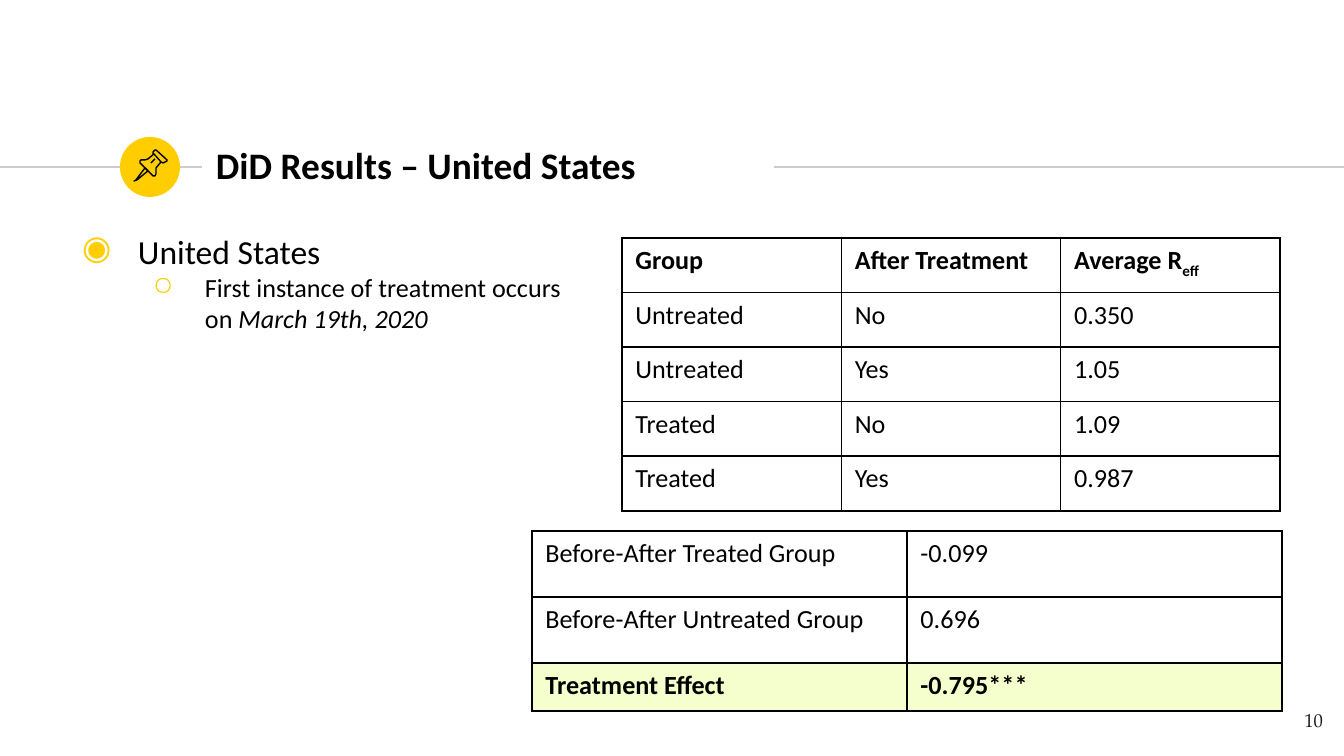
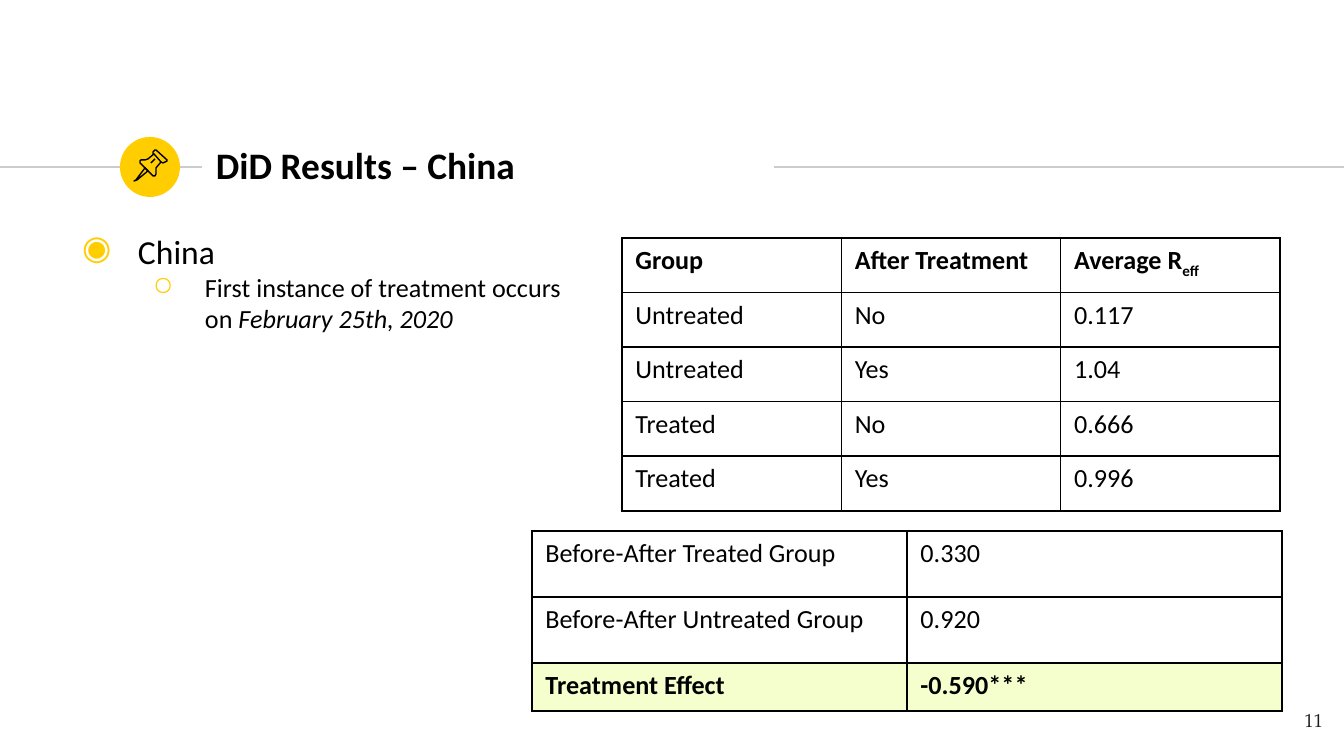
from lxml.etree import SubElement as Sub
from pptx import Presentation as Deck
from pptx.dml.color import RGBColor as RGB
from pptx.enum.shapes import MSO_CONNECTOR as Link, MSO_SHAPE as Form
from pptx.enum.text import MSO_ANCHOR as Anchor, PP_ALIGN as Align
from pptx.oxml.ns import qn
from pptx.util import Pt

SCALE = 914400 / 134.4
WIDE, HIGH = 1344, 756
BLACK = RGB(0x00, 0x00, 0x00)
INK = RGB(0x1D, 0x1D, 0x1B)
GOLD = RGB(0xFF, 0xCD, 0x00)
GREY = RGB(0xCC, 0xCC, 0xCC)
LIME = RGB(0xDE, 0xFF, 0x5C)
SANS, SERIF = "Calibri", "TeX Gyre Pagella"
RULE_Y = 167

TIP = [(145, 168), (136, 180), (134, 181), (137, 180), (148, 171)]
CAP = [(154, 154), (161, 162), (163, 163), (165, 162), (167, 161),
       (167, 160), (156, 150), (155, 150), (153, 152), (153, 154)]
BODY = [(154, 154), (148, 159), (145, 160), (141, 160), (140, 161),
        (140, 163), (153, 176), (155, 176), (156, 174), (156, 168),
        (161, 162)]

HEAD = ["Group", "After Treatment", "Average R"]
CASES = [("Untreated", "No"), ("Untreated", "Yes"),
         ("Treated", "No"), ("Treated", "Yes")]
EFFECTS = ["Before-After Treated Group", "Before-After Untreated Group",
           "Treatment Effect"]

PAGES = [
    ("United States", "March 19th, 2020", "10",
     ["0.350", "1.05", "1.09", "0.987"],
     ["-0.099", "0.696", "-0.795***"]),
    ("China", "February 25th, 2020", "11",
     ["0.117", "1.04", "0.666", "0.996"],
     ["0.330", "0.920", "-0.590***"]),
]


def px(*vals):
    return [round(val * SCALE) for val in vals]


def add_run(par, text, size=14, face=SANS, tint=BLACK, bold=False,
            slant=False, base=0):
    run = par.add_run()
    run.text = text
    font = run.font
    font.size, font.name = Pt(size), face
    font.bold, font.italic = bold, slant
    font.color.rgb = tint
    if base:
        run._r.get_or_add_rPr().set("baseline", str(base * 1000))


def add_box(slide, *area):
    frame = slide.shapes.add_textbox(*px(*area)).text_frame
    frame.word_wrap = True
    frame.margin_left = frame.margin_right = px(13)[0]
    frame.margin_top = frame.margin_bottom = px(13)[0]
    return frame


def add_line(shapes, start, end, tint):
    line = shapes.add_connector(Link.STRAIGHT, *px(*start, *end))
    line.line.color.rgb = tint
    line.line.width = Pt(0.75)
    Sub(line._element.spPr, qn("a:effectLst"))


def add_path(shapes, spots, close):
    pen = shapes.build_freeform(*spots[0], scale=SCALE)
    pen.add_line_segments(spots[1:], close=close)
    form = pen.convert_to_shape()
    form.shadow.inherit = False
    form.fill.background()
    form.line.color.rgb = BLACK
    form.line.width = Pt(0.75)


def add_pin(slide):
    pin = slide.shapes.add_group_shape().shapes
    add_path(pin, TIP, True)
    add_path(pin, CAP, True)
    add_path(pin, BODY, False)
    add_line(pin, (151, 163), (155, 159), BLACK)


def add_frame(slide, title, page):
    add_line(slide.shapes, (0, RULE_Y), (202, RULE_Y), GREY)
    disc = slide.shapes.add_shape(Form.OVAL, *px(120, 137, 60, 60))
    disc.shadow.inherit = False
    disc.fill.solid()
    disc.fill.fore_color.rgb = GOLD
    disc.line.fill.background()
    add_line(slide.shapes, (774, RULE_Y), (WIDE, RULE_Y), GREY)
    add_pin(slide)
    frame = add_box(slide, 203, 132, 570, 65)
    frame.vertical_anchor = Anchor.MIDDLE
    add_run(frame.paragraphs[0], title, 20, bold=True)
    par = add_box(slide, 1255, 698, 81, 58).paragraphs[0]
    par.alignment = Align.RIGHT
    add_run(par, page, 10, SERIF, INK)


def set_mark(par, mark, left, hang):
    props = par._p.get_or_add_pPr()
    left, hang = px(left, hang)
    props.set("marL", str(left))
    props.set("indent", str(-hang))
    Sub(Sub(props, qn("a:buClr")), qn("a:srgbClr"), val=str(GOLD))
    Sub(props, qn("a:buChar"), char=mark)


def add_notes(slide, place, date):
    frame = add_box(slide, 58, 218, 517, 446)
    top = frame.paragraphs[0]
    top.space_before = Pt(6)
    set_mark(top, "◉", 67, 56)
    add_run(top, place, 18)
    sub = frame.add_paragraph()
    sub.level = 1
    sub.space_before = Pt(0)
    set_mark(sub, "○", 134, 52)
    add_run(sub, "First instance of treatment occurs on ")
    add_run(sub, date, slant=True)


def set_edges(cell):
    props = cell._tc.get_or_add_tcPr()
    for side in ("a:lnL", "a:lnR", "a:lnT", "a:lnB"):
        edge = Sub(props, qn(side), w=str(Pt(1)))
        Sub(Sub(edge, qn("a:solidFill")), qn("a:srgbClr"), val=str(BLACK))


def tint_cell(cell):
    cell.fill.solid()
    cell.fill.fore_color.rgb = LIME
    fill = cell._tc.tcPr.find(qn("a:solidFill"))
    Sub(fill[0], qn("a:alpha"), val="30000")


def add_grid(slide, left, top, width, highs, rows, strong):
    count = len(rows[0])
    grid = slide.shapes.add_table(
        len(rows), count, *px(left, top, width, sum(highs))).table
    grid.first_row = grid.horz_banding = False
    for col in grid.columns:
        col.width = px(width / count)[0]
    for i, row in enumerate(rows):
        grid.rows[i].height = px(highs[i])[0]
        for j, text in enumerate(row):
            cell = grid.cell(i, j)
            set_edges(cell)
            cell.fill.background()
            add_run(cell.text_frame.paragraphs[0], text, bold=i == strong)
    return grid


def add_means(slide, means):
    rows = [HEAD] + [[*case, mean] for case, mean in zip(CASES, means)]
    grid = add_grid(slide, 622, 238, 658, [54.6] * 5, rows, 0)
    add_run(grid.cell(0, 2).text_frame.paragraphs[0], "eff",
            bold=True, base=-25)


def add_gaps(slide, gaps):
    rows = list(zip(EFFECTS, gaps))
    grid = add_grid(slide, 532, 531, 750, [66, 66, 48], rows, 2)
    for col in range(2):
        tint_cell(grid.cell(2, col))


def main():
    deck = Deck()
    deck.slide_width, deck.slide_height = px(WIDE, HIGH)
    for place, date, page, means, gaps in PAGES:
        slide = deck.slides.add_slide(deck.slide_layouts[6])
        add_frame(slide, f"DiD Results – {place}", page)
        add_notes(slide, place, date)
        add_means(slide, means)
        add_gaps(slide, gaps)
    deck.save("out.pptx")


if __name__ == "__main__":
    main()
